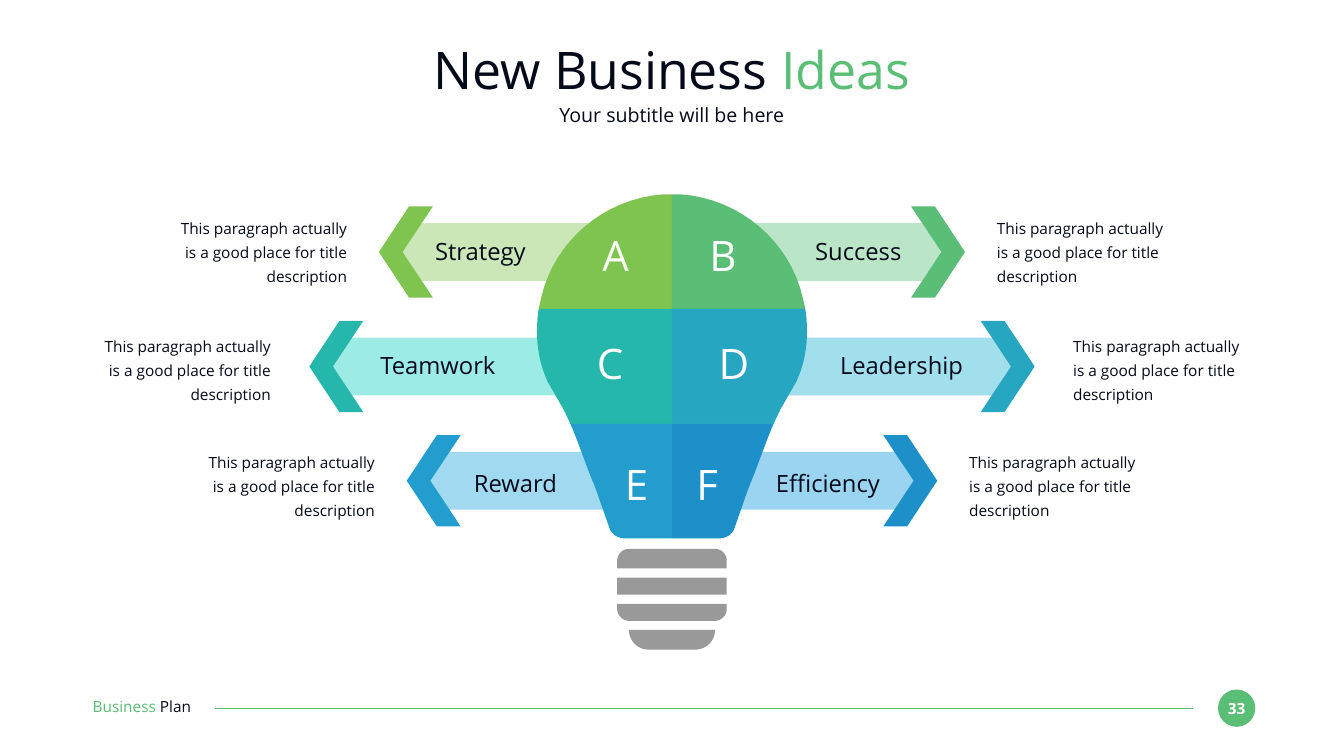
"""Build a light bulb slide with six lettered business ideas."""
from lxml.etree import SubElement
from pptx import Presentation
from pptx.dml.color import RGBColor
from pptx.enum.shapes import MSO_CONNECTOR as Connector, MSO_SHAPE as Shape
from pptx.enum.text import MSO_ANCHOR as Anchor, PP_ALIGN as Align
from pptx.oxml.ns import qn
from pptx.util import Cm, Pt

FONT = "Open Sans"
DARK, GREEN, WHITE, GRAY = "050A19", "5ABE76", "FFFFFF", "999999"
WIDTH, HEIGHT = 67.74, 38.1
AXIS = WIDTH / 2
LEFT, RIGHT = -1, 1
DESCRIPTION = "This paragraph actually is a good place for title description"

ROWS = [
    {"middle": 12.7, "tip": 14.77, "letter_top": 11.56, "label_top": 11.94,
     "label_width": 6.81, "text_top": 10.74, "text_start": 16.38},
    {"middle": 18.47, "tip": 18.28, "letter_top": 16.99, "label_top": 17.65,
     "label_width": 9.4, "text_top": 16.71, "text_start": 20.22},
    {"middle": 24.23, "tip": 13.37, "letter_top": 23.09, "label_top": 23.62,
     "label_width": 6.81, "text_top": 22.56, "text_start": 14.98},
]
# row, side, letter, letter distance, label, label distance, color, tint
IDEAS = [
    (0, LEFT, "A", 2.84, "Strategy", 9.66, "7FC44F", "CBE7B7"),
    (0, RIGHT, "B", 2.57, "Success", 9.39, GREEN, "BBE5C7"),
    (1, LEFT, "C", 3.12, "Teamwork", 11.8, "25B7AC", "9CECE5"),
    (1, RIGHT, "D", 3.12, "Leadership", 11.57, "26A6C1", "A1DFEC"),
    (2, LEFT, "E", 1.78, "Reward", 7.89, "239DCE", "A0D9F0"),
    (2, RIGHT, "F", 1.78, "Efficiency", 7.86, "1D90C9", "9BD4F1"),
]
BULB = [
    [[(0, 15.57)], [(0, 9.8)], [(0.5, 9.8)],
     [(3.42, 10.03), (5.93, 12.14), (6.59, 14.99)], [(6.72, 15.57)]],
    [[(0, 21.36)], [(0, 15.57)], [(6.72, 15.57)],
     [(6.92, 16.89), (6.77, 18.16), (6.26, 19.25)], [(5.47, 20.62)], [(5.12, 21.36)]],
    [[(0, 27.13)], [(0, 21.36)], [(5.12, 21.36)],
     [(4.66, 22.43), (4.18, 23.88), (3.95, 24.36)],
     [(3.77, 24.82), (3.42, 25.86), (3.16, 26.59)],
     [(3.06, 26.9), (2.76, 27.13), (2.4, 27.13)]],
]
SOCKET = [
    [[(2.17, 27.66)], [(2.47, 27.66), (2.76, 27.92), (2.76, 28.24)], [(2.76, 28.65)]],
    [[(2.76, 29.11)], [(2.76, 29.97)]],
    [[(2.76, 30.43)], [(2.76, 30.71)], [(2.76, 31.01), (2.47, 31.29), (2.17, 31.29)]],
    [[(2.17, 31.75)], [(2.17, 32.31), (1.71, 32.74), (1.17, 32.74)]],
]


def color(value):
    return RGBColor.from_string(value)


def trace(segments, steps=16):
    """Turn line ends and Bezier triples into a list of points."""
    points = []
    for segment in segments:
        if len(segment) == 1:
            points += segment
            continue
        corners = [points[-1], *segment]
        for step in range(1, steps + 1):
            t = step / steps
            weights = ((1 - t) ** 3, 3 * t * (1 - t) ** 2, 3 * t * t * (1 - t), t ** 3)
            points.append(tuple(sum(w * corner[i] for w, corner in zip(weights, corners))
                                for i in (0, 1)))
    return points


def paint(shape, fill):
    shape.shadow.inherit = False
    shape.fill.solid()
    shape.fill.fore_color.rgb = color(fill)
    shape.line.fill.background()


def add_outline(slide, contours, fill, side=RIGHT):
    """Draw closed contours given as distances from the bulb axis."""
    placed = [[(Cm(AXIS + side * x), Cm(y)) for x, y in contour] for contour in contours]
    builder = slide.shapes.build_freeform(*placed[0][0])
    builder.add_line_segments(placed[0][1:])
    for contour in placed[1:]:
        builder.move_to(*contour[0])
        builder.add_line_segments(contour[1:])
    paint(builder.convert_to_shape(), fill)


def write(shape, runs, size, align=Align.CENTER, anchor=Anchor.MIDDLE, spacing=None, bold=False):
    """Fill a shape with one paragraph of (text, color) runs."""
    frame = shape.text_frame
    frame.word_wrap = True
    frame.vertical_anchor = anchor
    frame.margin_left = frame.margin_right = frame.margin_top = frame.margin_bottom = 0
    paragraph = frame.paragraphs[0]
    paragraph.alignment = align
    paragraph.line_spacing = spacing
    paragraph.font.name, paragraph.font.size, paragraph.font.bold = FONT, Pt(size), bold
    for text, run_color in runs:
        run = paragraph.add_run()
        run.text = text
        run.font.color.rgb = color(run_color)


def add_text(slide, left, top, width, height, runs, size, **style):
    box = slide.shapes.add_textbox(Cm(left), Cm(top), Cm(width), Cm(height))
    write(box, runs, size, **style)


def add_frame(slide):
    """Add the title, the subtitle and the footer."""
    add_text(slide, 4.65, 1.85, 58.42, 3.23, [("New Business ", DARK), ("Ideas", GREEN)], 74)
    add_text(slide, 4.65, 5.16, 58.42, 1.24, [("Your subtitle will be here", DARK)], 28)
    add_text(slide, 4.67, 35.15, 6.58, 0.94, [("Business ", GREEN), ("Plan", DARK)], 22,
             align=Align.LEFT)
    line = slide.shapes.add_connector(Connector.STRAIGHT, Cm(60.12), Cm(35.69), Cm(10.85), Cm(35.69))
    line.line.color.rgb = color(GREEN)
    line.line.width = Pt(1.5)
    SubElement(line._element.spPr, qn("a:effectLst"))
    badge = slide.shapes.add_shape(Shape.OVAL, Cm(61.39), Cm(34.75), Cm(1.88), Cm(1.88))
    paint(badge, GREEN)
    write(badge, [("33", WHITE)], 22, bold=True)


def add_banner(slide, row, side, tint):
    middle, tip = row["middle"], row["tip"] - 1.02
    top, bottom, shoulder = middle - 1.46, middle + 1.46, tip - 0.89
    add_outline(slide, [[(1.6, top), (shoulder, top), (tip, middle),
                         (shoulder, bottom), (1.6, bottom)]], tint, side)


def add_chevron(slide, row, side, fill):
    middle, tip = row["middle"], row["tip"]
    top, bottom = middle - 2.3, middle + 2.3
    add_outline(slide, [[(tip, middle), (tip - 1.52, top), (tip - 2.72, top),
                         (tip - 1.19, middle), (tip - 2.72, bottom), (tip - 1.52, bottom)]],
                fill, side)


def add_words(slide, row, side, letter, letter_distance, label, label_distance):
    add_text(slide, AXIS + side * letter_distance - 1.36, row["letter_top"], 2.72, 2.57,
             [(letter, WHITE)], 60)
    width = row["label_width"]
    add_text(slide, AXIS + side * label_distance - width / 2, row["label_top"], width, 1.45,
             [(label, DARK)], 34)
    start = AXIS + side * row["text_start"]
    add_text(slide, start if side == RIGHT else start - 8.99, row["text_top"], 8.99, 3.66,
             [(DESCRIPTION, DARK)], 22, align=Align.LEFT if side == RIGHT else Align.RIGHT,
             anchor=Anchor.TOP, spacing=1.3)


def main():
    presentation = Presentation()
    presentation.slide_width, presentation.slide_height = Cm(WIDTH), Cm(HEIGHT)
    slide = presentation.slides.add_slide(presentation.slide_layouts[6])
    add_frame(slide)
    for row, side, *_, tint in IDEAS:
        add_banner(slide, ROWS[row], side, tint)
    for row, side, *words, fill, _ in IDEAS:
        add_outline(slide, [trace(BULB[row])], fill, side)
        add_chevron(slide, ROWS[row], side, fill)
        add_words(slide, ROWS[row], side, *words)
    halves = [trace(bar) for bar in SOCKET]
    add_outline(slide, [half + [(-x, y) for x, y in reversed(half)] for half in halves], GRAY)
    presentation.save("out.pptx")


if __name__ == "__main__":
    main()
